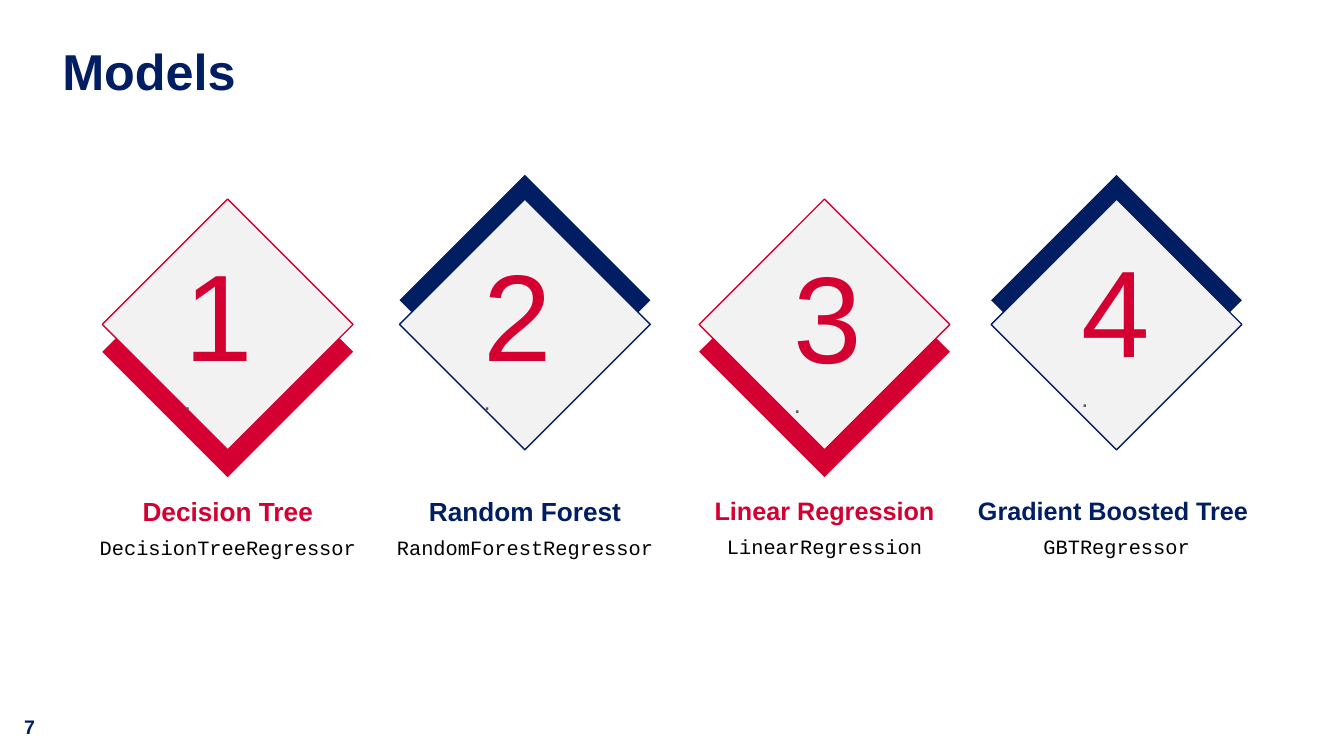
import pptx
import pptx.util
import pptx.dml.color
import pptx.enum.shapes
import pptx.enum.text
from pptx.util import Cm

TITLE = "Models"
PAGE_NUMBER = "7"
MODELS = [
    {"name": "Decision Tree", "class": "DecisionTreeRegressor", "accent": "red",
     "center": 5.74, "name_size": 18.7, "digit_at": (4.39, 5.87)},
    {"name": "Random Forest", "class": "RandomForestRegressor", "accent": "navy",
     "center": 13.23, "name_size": 18.7, "digit_at": (11.94, 5.87)},
    {"name": "Linear Regression", "class": "LinearRegression", "accent": "red",
     "center": 20.78, "name_size": 18, "digit_at": (19.76, 5.94)},
    {"name": "Gradient Boosted Tree ", "class": "GBTRegressor", "accent": "navy",
     "center": 28.14, "name_size": 18, "digit_at": (27, 5.79)},
]
THEME = {
    "navy": "001E61", "red": "D40032", "panel": "F2F2F2", "black": "000000", "gray": "575757",
    "sans": "Arial", "mono": "Courier New",
    "title": 36, "page": 14, "class": 14.5, "digit": 88, "dot": 18,
}
SIDE = 4.47
FRONT_TOP = 5.94
BACK_TOP = {"red": 6.63, "navy": 5.33}
LABEL_TOP, LABEL_WIDTH, LABEL_HEIGHT = 12.36, 8.13, 1.65
DIGIT_WIDTH, DIGIT_HEIGHT = 1.42, 4.78


def color(name):
    return pptx.dml.color.RGBColor.from_string(THEME[name])


def set_font(font, size, color_name, bold=False, face="sans"):
    font.name = THEME[face]
    font.size = pptx.util.Pt(size)
    font.bold = bold
    font.color.rgb = color(color_name)


def add_text_frame(slide, left, top, width, height):
    box = slide.shapes.add_textbox(Cm(left), Cm(top), Cm(width), Cm(height))
    box.text_frame.word_wrap = True
    return box.text_frame


def add_diamond(slide, center, top, fill, line=None):
    shape = slide.shapes.add_shape(pptx.enum.shapes.MSO_SHAPE.RECTANGLE,
                                   Cm(center - SIDE / 2), Cm(top), Cm(SIDE), Cm(SIDE))
    shape.rotation = 315
    shape.shadow.inherit = False
    shape.fill.solid()
    shape.fill.fore_color.rgb = color(fill)
    if line:
        shape.line.color.rgb = color(line)
        shape.line.width = pptx.util.Pt(1)
    else:
        shape.line.fill.background()


def add_label(slide, model):
    frame = add_text_frame(slide, model["center"] - LABEL_WIDTH / 2, LABEL_TOP,
                           LABEL_WIDTH, LABEL_HEIGHT)
    name = frame.paragraphs[0]
    name.text = model["name"]
    set_font(name.font, model["name_size"], model["accent"], bold=True)
    class_name = frame.add_paragraph()
    class_name.text = model["class"]
    class_name.line_spacing = 1.36
    set_font(class_name.font, THEME["class"], "black", face="mono")
    for paragraph in frame.paragraphs:
        paragraph.alignment = pptx.enum.text.PP_ALIGN.CENTER


def add_digit(slide, number, position):
    frame = add_text_frame(slide, *position, DIGIT_WIDTH, DIGIT_HEIGHT)
    for text, size, color_name in ((str(number), "digit", "red"), (".", "dot", "gray")):
        run = frame.paragraphs[0].add_run()
        run.text = text
        set_font(run.font, THEME[size], color_name)


def main():
    presentation = pptx.Presentation()
    presentation.slide_width, presentation.slide_height = Cm(33.87), Cm(19.05)
    slide = presentation.slides.add_slide(presentation.slide_layouts[6])

    page = add_text_frame(slide, 0.36, 17.88, 1.68, 0.86).paragraphs[0]
    page.text = PAGE_NUMBER
    set_font(page.font, THEME["page"], "navy", bold=True)

    title_frame = add_text_frame(slide, 1.57, 1.19, 18.44, 2.26)
    title_frame.margin_left = title_frame.margin_right = 0
    title_frame.margin_top = title_frame.margin_bottom = 0
    title = title_frame.paragraphs[0]
    title.text = TITLE
    title.line_spacing = 0.9
    set_font(title.font, THEME["title"], "navy", bold=True)

    for number, model in enumerate(MODELS, 1):
        accent = model["accent"]
        add_diamond(slide, model["center"], BACK_TOP[accent], accent)
        add_diamond(slide, model["center"], FRONT_TOP, "panel", line=accent)
        add_label(slide, model)
        add_digit(slide, number, model["digit_at"])

    presentation.save("out.pptx")


if __name__ == "__main__":
    main()
